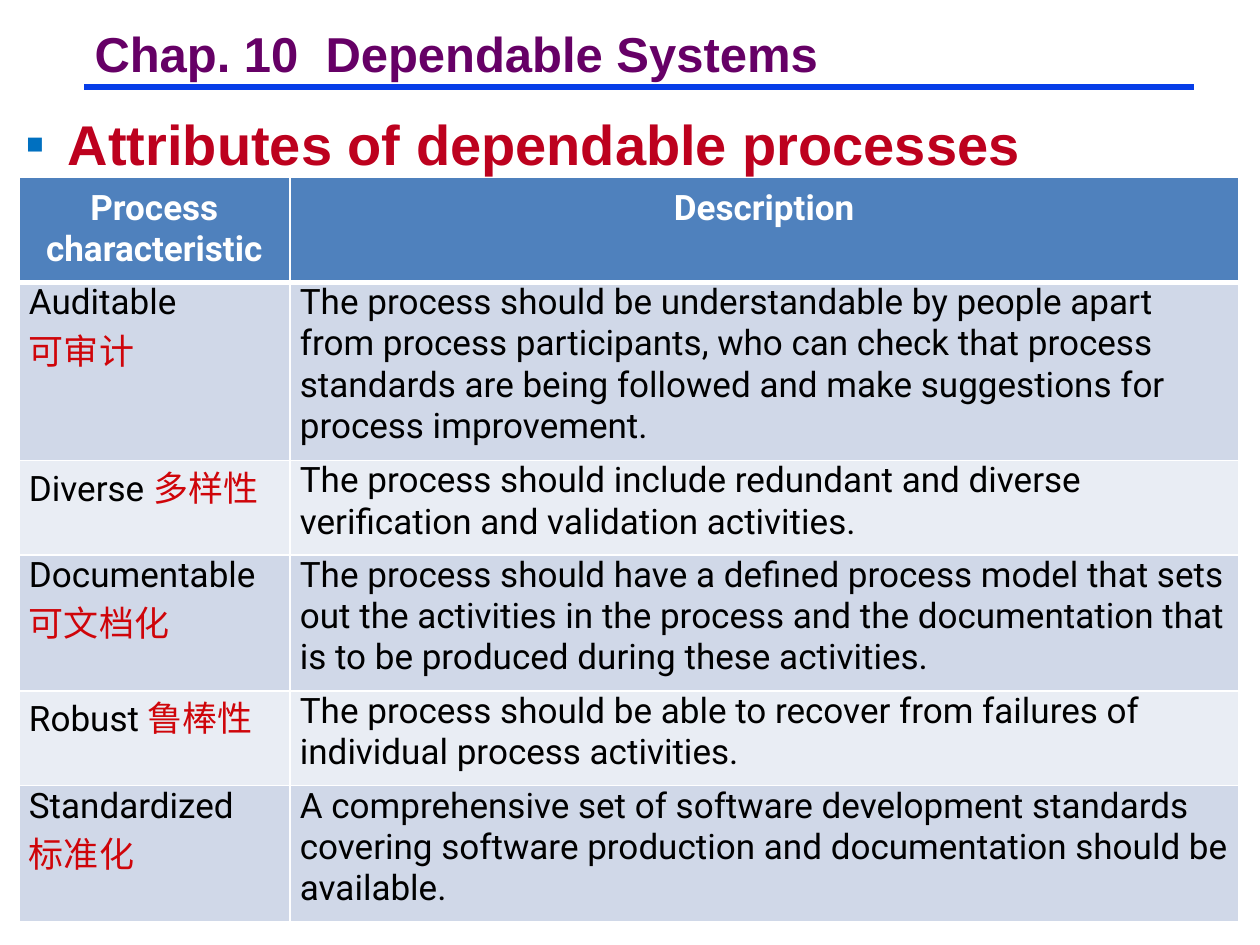
from lxml.etree import SubElement
from pptx import Presentation
from pptx.dml.color import RGBColor
from pptx.enum.shapes import MSO_CONNECTOR
from pptx.enum.text import MSO_ANCHOR, PP_ALIGN
from pptx.oxml.ns import qn
from pptx.util import Inches, Pt


def color(value):
    return RGBColor.from_string(value)


def add_text(paragraph, text, size=20, font="Roboto", fill="000000", bold=False):
    run = paragraph.add_run()
    run.text = text
    run.font.size = Pt(size)
    run.font.name = font
    run.font.bold = bold
    run.font.color.rgb = color(fill)
    if font.startswith("Noto"):
        SubElement(run.font._element, qn("a:ea"), typeface=font)


presentation = Presentation()
presentation.slide_width = Inches(10)
presentation.slide_height = Inches(7.5)
slide = presentation.slides.add_slide(presentation.slide_layouts[6])

title_rule = slide.shapes.add_connector(
    MSO_CONNECTOR.STRAIGHT, Inches(0.67), Inches(0.69), Inches(9.48), Inches(0.69))
title_rule.line.color.rgb = color("063DE8")
title_rule.line.width = Pt(3.75)
SubElement(title_rule._element.spPr, qn("a:effectLst"))

subtitle = slide.shapes.add_textbox(Inches(0.1), Inches(0.77), Inches(9.82), Inches(0.67))
subtitle.text_frame.word_wrap = True
subtitle.text_frame.margin_top = Inches(0.1)
paragraph = subtitle.text_frame.paragraphs[0]
properties = paragraph._p.get_or_add_pPr()
properties.set("marL", str(Inches(0.34)))
properties.set("indent", str(-Inches(0.34)))
bullet_color = SubElement(properties, qn("a:buClr"))
SubElement(bullet_color, qn("a:srgbClr"), val="0070C0")
SubElement(properties, qn("a:buFont"), typeface="Arial")
SubElement(properties, qn("a:buChar"), char="▪")
add_text(paragraph, "Attributes of dependable processes", size=32, font="Arial",
         fill="BD011E", bold=True)

title = slide.shapes.add_textbox(Inches(0.68), Inches(0.22), Inches(5.89), Inches(0.46))
frame = title.text_frame
frame.word_wrap = False
frame.margin_left = frame.margin_right = Inches(0.07)
frame.margin_top = frame.margin_bottom = Inches(0.03)
frame.paragraphs[0].line_spacing = 0.87
add_text(frame.paragraphs[0], "Chap. 10  Dependable Systems", size=28, font="Arial",
         fill="660066", bold=True)

headings = ["Process characteristic", "Description"]
attributes = [
    ("Auditable", "可审计", True,
     "The process should be understandable by people apart from process participants, "
     "who can check that process standards are being followed and make suggestions for "
     "process improvement."),
    ("Diverse ", "多样性", False,
     "The process should include redundant and diverse verification and validation activities."),
    ("Documentable", "可文档化", True,
     "The process should have a defined process model that sets out the activities in the "
     "process and the documentation that is to be produced during these activities."),
    ("Robust ", "鲁棒性", False,
     "The process should be able to recover from failures of individual process activities."),
    ("Standardized", "标准化", True,
     "A comprehensive set of software development standards covering software production "
     "and documentation should be available."),
]
column_widths = [2.15, 7.53]
row_heights = [0.83, 1.41, 0.75, 1.08, 0.75, 1.08]
table = slide.shapes.add_table(
    len(row_heights), len(column_widths), Inches(0.15), Inches(1.41),
    Inches(sum(column_widths)), Inches(sum(row_heights))).table
for column, width in zip(table.columns, column_widths):
    column.width = Inches(width)

for row_index, height in enumerate(row_heights):
    table.rows[row_index].height = Inches(height)
    is_header = row_index == 0
    row_fill = "4F81BD" if is_header else ("E9EDF4", "D0D8E8")[row_index % 2]
    for column_index in range(len(column_widths)):
        cell = table.cell(row_index, column_index)
        cell.vertical_anchor = MSO_ANCHOR.TOP
        cell.margin_left = cell.margin_right = cell.margin_bottom = Inches(0.08)
        cell.margin_top = Inches(0.08 if is_header else 0)
        cell_properties = cell._tc.get_or_add_tcPr()
        for side in ("lnL", "lnR", "lnT", "lnB"):
            heavy = (side == "lnB" and is_header) or (side == "lnT" and row_index == 1)
            border = SubElement(cell_properties, qn(f"a:{side}"), w=str(Pt(3 if heavy else 1)))
            border_fill = SubElement(border, qn("a:solidFill"))
            SubElement(border_fill, qn("a:srgbClr"), val="FFFFFF")
        cell.fill.solid()
        cell.fill.fore_color.rgb = color(row_fill)
        paragraph = cell.text_frame.paragraphs[0]
        if is_header:
            paragraph.alignment = PP_ALIGN.CENTER
            add_text(paragraph, headings[column_index], fill="FFFFFF", bold=True)
            continue
        name, translation, on_new_line, description = attributes[row_index - 1]
        if column_index == 1:
            add_text(paragraph, description)
            continue
        add_text(paragraph, name)
        if on_new_line:
            paragraph.add_line_break()
        add_text(paragraph, translation, font="Noto Sans CJK SC", fill="CF050A")

presentation.save("out.pptx")
